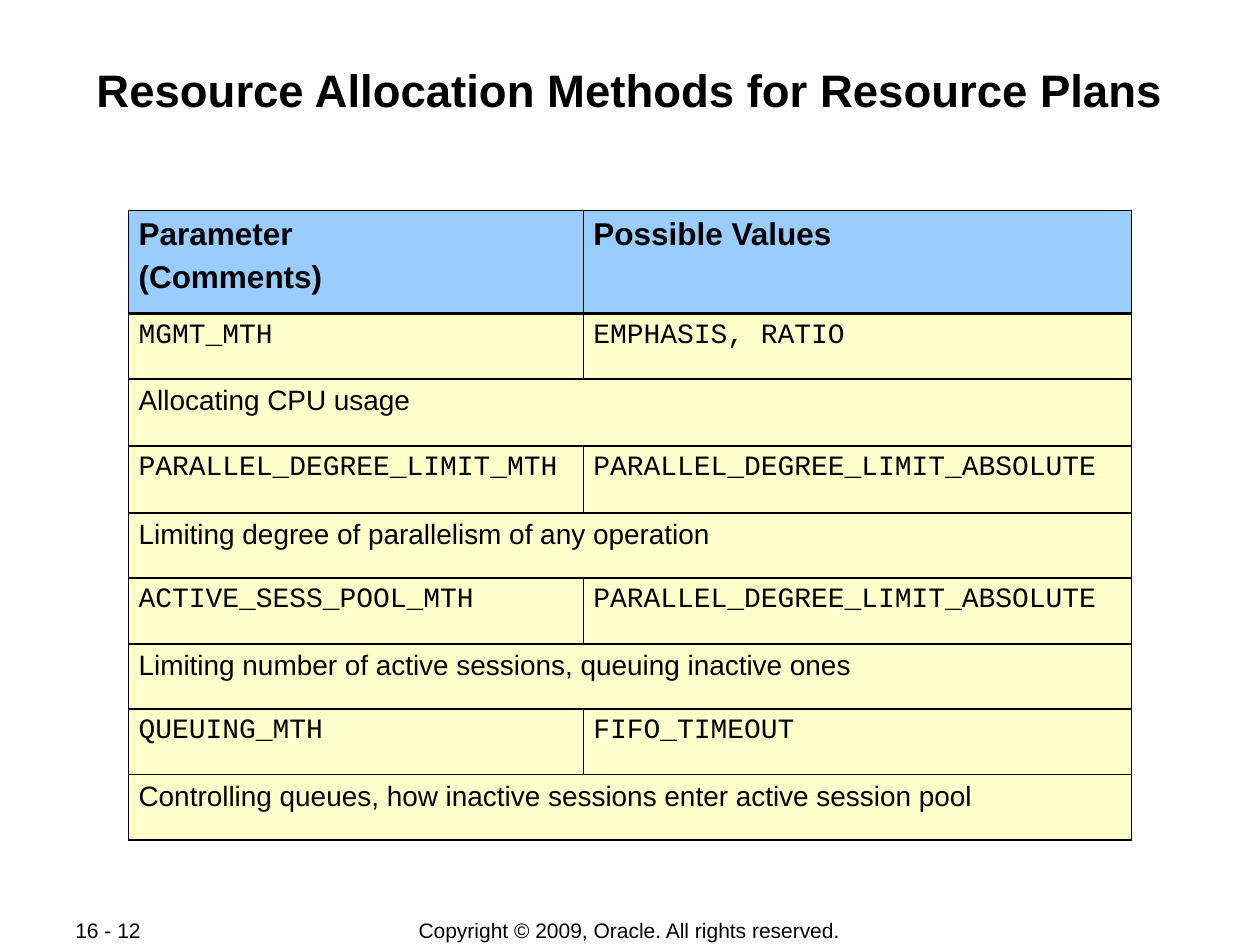
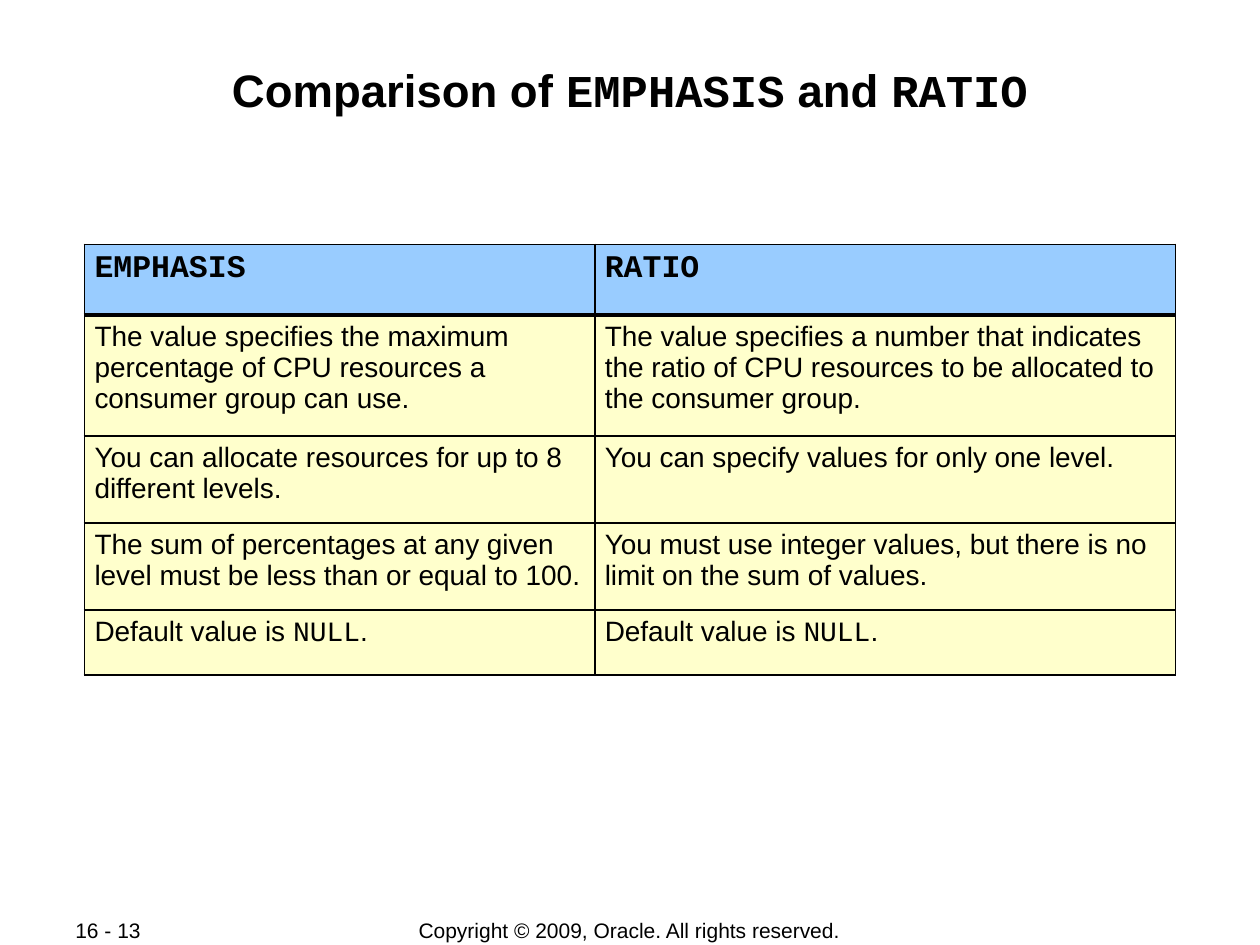
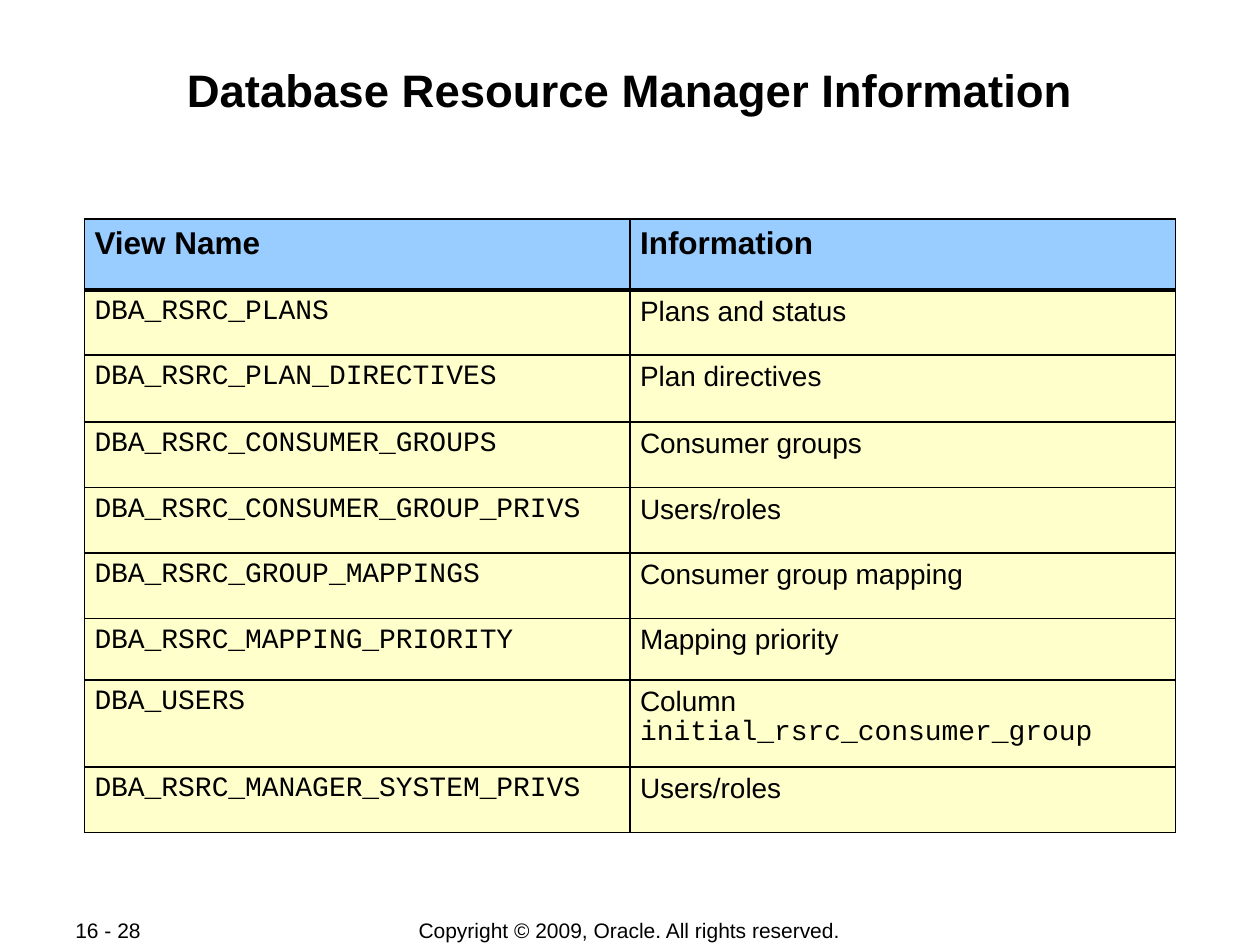
"""Build three slides of tables on database resource plans."""
from dataclasses import dataclass

from lxml.etree import SubElement
from pptx import Presentation
from pptx.dml.color import RGBColor
from pptx.enum.text import MSO_ANCHOR, PP_ALIGN
from pptx.oxml.ns import qn
from pptx.util import Inches, Pt


@dataclass(frozen=True)
class Theme:
    ink: str = "000000"
    head: str = "99CCFF"
    body: str = "FFFFCC"
    sans: str = "Arial"
    mono: str = "Courier New"
    title: float = 26
    label: float = 18
    text: float = 16
    foot: float = 12
    thin: float = 1.08
    thick: float = 2.21


theme = Theme()


def write(frame, text, size, bold=False, align=PP_ALIGN.LEFT, pad=(0.01, 0.01), anchor=MSO_ANCHOR.TOP):
    side, edge = (Inches(gap) for gap in pad)
    form = {"margin_left": side, "margin_right": side, "margin_top": edge,
            "margin_bottom": edge, "word_wrap": True, "vertical_anchor": anchor}
    for key, value in form.items():
        setattr(frame, key, value)
    for num, line in enumerate(text.split("\n")):
        para = frame.paragraphs[0] if num == 0 else frame.add_paragraph()
        para.alignment = align
        if num:
            para.space_before = Pt(size / 4)
        for part, words in enumerate(line.split("`")):
            if words:
                run = para.add_run()
                run.text = words
                face = theme.mono if part % 2 else theme.sans
                for key, value in {"name": face, "size": Pt(size), "bold": bold}.items():
                    setattr(run.font, key, value)
                run.font.color.rgb = RGBColor.from_string(theme.ink)


def dress(cell, fill, top, base):
    props = cell._tc.get_or_add_tcPr()
    for side, width in {"L": theme.thin, "R": theme.thin, "T": top, "B": base}.items():
        line = SubElement(props, qn(f"a:ln{side}"), w=str(Pt(width)))
        SubElement(SubElement(line, qn("a:solidFill")), qn("a:srgbClr"), val=theme.ink)
    cell.fill.solid()
    cell.fill.fore_color.rgb = RGBColor.from_string(fill)


pages = [
    {
        "num": 12,
        "title": "Resource Allocation Methods for Resource Plans",
        "spot": (1.02, 1.67),
        "cols": [3.61, 4.35],
        "rows": [
            (0.82, "Parameter\n(Comments)", "Possible Values"),
            (0.52, "`MGMT_MTH`", "`EMPHASIS, RATIO`"),
            (0.53, "Allocating CPU usage"),
            (0.53, "`PARALLEL_DEGREE_LIMIT_MTH`", "`PARALLEL_DEGREE_LIMIT_ABSOLUTE`"),
            (0.52, "Limiting degree of parallelism of any operation"),
            (0.52, "`ACTIVE_SESS_POOL_MTH`", "`PARALLEL_DEGREE_LIMIT_ABSOLUTE`"),
            (0.52, "Limiting number of active sessions, queuing inactive ones"),
            (0.52, "`QUEUING_MTH`", "`FIFO_TIMEOUT`"),
            (0.52, "Controlling queues, how inactive sessions enter active session pool"),
        ],
    },
    {
        "num": 13,
        "title": "Comparison of `EMPHASIS` and `RATIO`",
        "spot": (0.67, 1.94),
        "cols": [4.05, 4.61],
        "rows": [
            (0.56, "`EMPHASIS`", "`RATIO`"),
            (0.96, "The value specifies the maximum percentage of CPU resources a consumer group can use.",
             "The value specifies a number that indicates the ratio of CPU resources "
             "to be allocated to the consumer group."),
            (0.69, "You can allocate resources for up to 8 different levels.",
             "You can specify values for only one level."),
            (0.69, "The sum of percentages at any given level must be less than or equal to 100.",
             "You must use integer values, but there is no limit on the sum of values."),
            (0.52, "Default value is `NULL`.", "Default value is `NULL`."),
        ],
    },
    {
        "num": 28,
        "title": "Database Resource Manager Information",
        "spot": (0.67, 1.74),
        "cols": [4.33, 4.33],
        "rows": [
            (0.56, "View Name", "Information"),
            (0.52, "`DBA_RSRC_PLANS`", "Plans and status"),
            (0.53, "`DBA_RSRC_PLAN_DIRECTIVES`", "Plan directives"),
            (0.52, "`DBA_RSRC_CONSUMER_GROUPS`", "Consumer groups"),
            (0.52, "`DBA_RSRC_CONSUMER_GROUP_PRIVS`", "Users/roles"),
            (0.52, "`DBA_RSRC_GROUP_MAPPINGS`", "Consumer group mapping"),
            (0.49, "`DBA_RSRC_MAPPING_PRIORITY`", "Mapping priority"),
            (0.69, "`DBA_USERS`", "Column `initial_rsrc_consumer_group`"),
            (0.52, "`DBA_RSRC_MANAGER_SYSTEM_PRIVS`", "Users/roles"),
        ],
    },
]

deck = Presentation()
deck.slide_width, deck.slide_height = Inches(10), Inches(7.5)

for page in pages:
    slide = deck.slides.add_slide(deck.slide_layouts[6])
    foot = {"size": theme.foot, "pad": (0.1, 0), "anchor": MSO_ANCHOR.MIDDLE}
    boxes = [
        ((2.75, 7.28, 4.49, 0.21), "Copyright © 2009, Oracle. All rights reserved.",
         {**foot, "align": PP_ALIGN.CENTER}),
        ((0.5, 7.28, 1.06, 0.2), f"16 - {page['num']}", foot),
        ((0.67, 0.48, 8.66, 0.96), page["title"],
         {"size": theme.title, "bold": True, "align": PP_ALIGN.CENTER}),
    ]
    for place, text, form in boxes:
        box = slide.shapes.add_textbox(*map(Inches, place))
        write(box.text_frame, text, **form)

    rows, cols = page["rows"], page["cols"]
    size = sum(cols), sum(row[0] for row in rows)
    grid = slide.shapes.add_table(len(rows), len(cols), *map(Inches, page["spot"] + size)).table
    for key in ("first_row", "horz_banding"):
        setattr(grid, key, False)
    for col, width in zip(grid.columns, cols):
        col.width = Inches(width)
    for pos, (height, *texts) in enumerate(rows):
        grid.rows[pos].height = Inches(height)
        fill = theme.body if pos else theme.head
        top = theme.thick if pos == 1 else theme.thin
        base = theme.thin if pos else theme.thick
        for cell in grid.rows[pos].cells:
            dress(cell, fill, top, base)
        if len(texts) == 1:
            grid.cell(pos, 0).merge(grid.cell(pos, 1))
        for side, text in enumerate(texts):
            cell = grid.cell(pos, side)
            for key, gap in {"left": 0.08, "right": 0.08, "top": 0.05, "bottom": 0.05}.items():
                setattr(cell, f"margin_{key}", Inches(gap))
            write(cell.text_frame, text, theme.text if pos else theme.label, not pos, pad=(0.08, 0.05))

deck.save("out.pptx")
